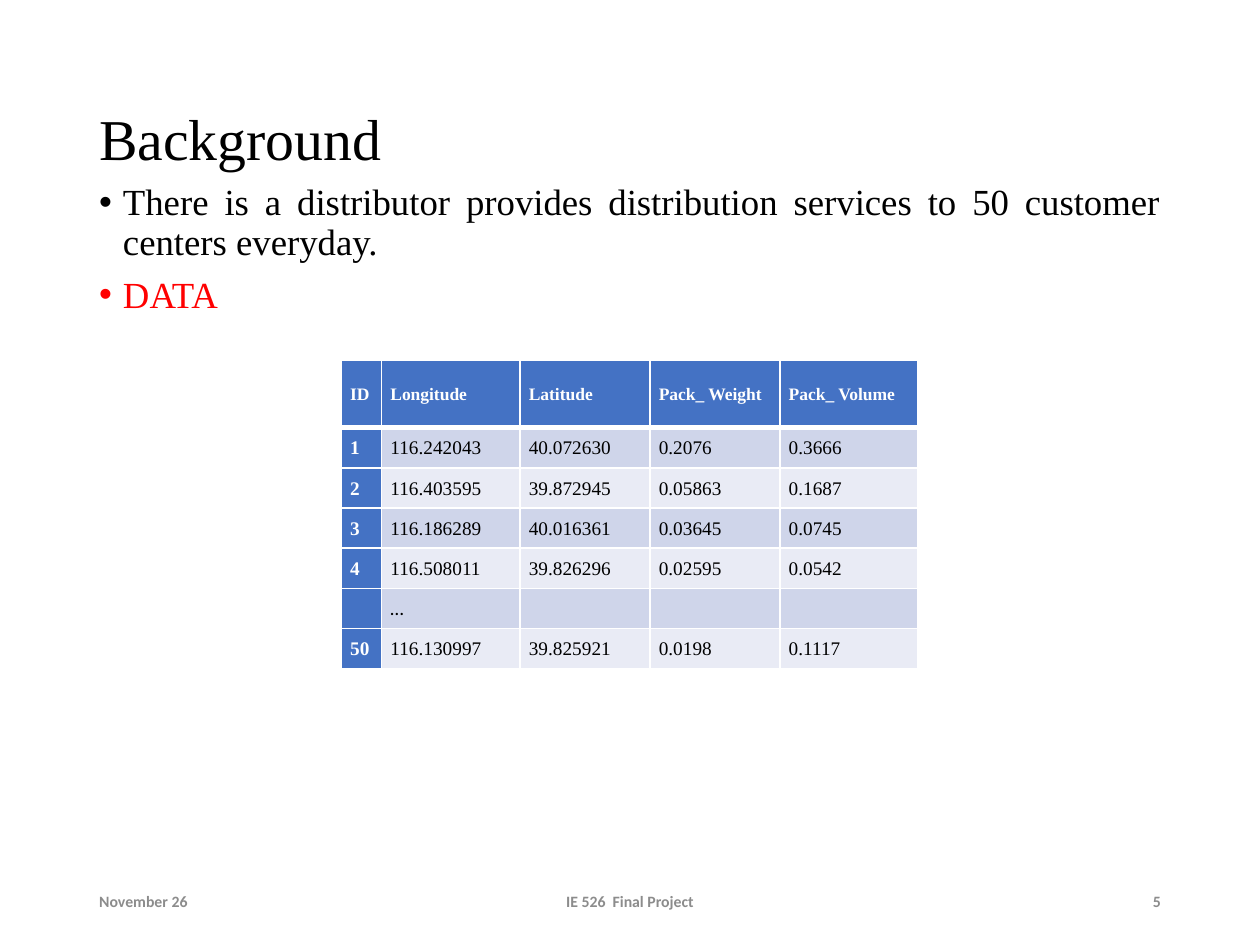
from dataclasses import dataclass, field

from lxml.etree import SubElement
from pptx import Presentation
from pptx.dml.color import RGBColor
from pptx.enum.text import MSO_ANCHOR, PP_ALIGN
from pptx.oxml.ns import qn
from pptx.util import Cm, Pt

SERIF, SANS = "Times New Roman", "Calibri"
BLACK, WHITE, RED, GREY = "000000", "FFFFFF", "FF0000", "8C8C8C"
BLUE, BANDS = "4472C4", ("CFD5EA", "E9EBF5")


@dataclass
class Line:
    """One paragraph and its look."""
    text: str
    size: float
    color: str = BLACK
    face: str = SERIF
    bold: bool = False
    bullet: bool = False
    form: dict = field(default_factory=dict)


@dataclass
class Box:
    """A text box, with lengths in centimetres."""
    left: float
    top: float
    width: float
    height: float
    lines: list[Line]
    anchor: MSO_ANCHOR = MSO_ANCHOR.MIDDLE


def paint(target, color: str) -> None:
    """Give a fill one solid hex colour."""
    target.solid()
    target.fore_color.rgb = RGBColor.from_string(color)


def write(para, line: Line) -> None:
    """Write a line into a paragraph."""
    for name, value in line.form.items():
        setattr(para, name, value)
    if line.bullet:
        props = para._p.get_or_add_pPr()
        props.set("marL", str(Cm(0.48)))
        props.set("indent", str(-Cm(0.48)))
        SubElement(props, qn("a:buFont"), typeface="Arial")
        SubElement(props, qn("a:buChar"), char="•")
    run = para.add_run()
    run.text = line.text
    look = {"size": Pt(line.size), "name": line.face, "bold": line.bold}
    for name, value in look.items():
        setattr(run.font, name, value)
    paint(run.font.fill, line.color)


def draw_box(slide, box: Box) -> None:
    """Add a text box with all its lines."""
    shape = slide.shapes.add_textbox(
        *map(Cm, (box.left, box.top, box.width, box.height)))
    frame = shape.text_frame
    frame.word_wrap = True
    frame.vertical_anchor = box.anchor
    for i, line in enumerate(box.lines):
        write(frame.add_paragraph() if i else frame.paragraphs[0], line)


def edge(cell, sides: dict[str, float]) -> None:
    """Draw white cell borders, with widths in points."""
    props = cell._tc.get_or_add_tcPr()
    for i, (side, width) in enumerate(sides.items()):
        line = props.makeelement(qn(f"a:ln{side}"), {"w": str(Pt(width))})
        fill = SubElement(line, qn("a:solidFill"))
        SubElement(fill, qn("a:srgbClr"), val=WHITE)
        props.insert(i, line)


def draw_table(slide, rows: list[str], widths: list[float],
               heights: list[float]) -> None:
    """Add the data table, with a blue head row and first column."""
    table = slide.shapes.add_table(
        len(heights), len(widths), Cm(6.88), Cm(7.27),
        Cm(sum(widths)), Cm(sum(heights))).table
    for col, width in zip(table.columns, widths):
        col.width = Cm(width)
    for r, (row, height) in enumerate(zip(rows, heights)):
        table.rows[r].height = Cm(height)
        for c, text in enumerate(row.split("|")):
            cell = table.cell(r, c)
            head = r == 0 or c == 0
            margins = {"margin_left": Cm(0.18), "margin_right": Cm(0.18),
                       "margin_top": 0, "margin_bottom": 0,
                       "vertical_anchor": MSO_ANCHOR.MIDDLE}
            for name, value in margins.items():
                setattr(cell, name, value)
            paint(cell.fill, BLUE if head else BANDS[(r - 1) % 2])
            edge(cell, {"L": 1, "R": 1, "T": 3 if r == 1 else 1,
                        "B": 3 if r == 0 else 1})
            if text:
                write(cell.text_frame.paragraphs[0], Line(
                    text, 11 if r else 10, WHITE if head else BLACK,
                    SANS if text == "…" else SERIF, head,
                    form={"alignment": PP_ALIGN.JUSTIFY,
                          "line_spacing": 1.07}))


BODY = {"alignment": PP_ALIGN.JUSTIFY, "line_spacing": 0.9,
        "space_before": Pt(7.5)}
BOXES = [
    Box(1.75, 1.02, 21.9, 3.68,
        [Line("Background", 33, form={"line_spacing": 0.9})]),
    Box(1.75, 3.58, 21.9, 14, [
        Line("There is a distributor provides distribution services to "
             "50 customer centers everyday.", 21, bullet=True, form=BODY),
        Line("DATA", 21, RED, bullet=True, form=BODY),
    ], MSO_ANCHOR.TOP),
]
FOOT = [
    (1.75, 5.72, "November 26", PP_ALIGN.LEFT),
    (8.41, 8.58, "IE 526  Final Project", PP_ALIGN.CENTER),
    (17.93, 5.72, "5", PP_ALIGN.RIGHT),
]
ROWS = [
    "ID|Longitude|Latitude|Pack_ Weight|Pack_ Volume",
    "1|116.242043|40.072630|0.2076|0.3666",
    "2|116.403595|39.872945|0.05863|0.1687",
    "3|116.186289|40.016361|0.03645|0.0745",
    "4|116.508011|39.826296|0.02595|0.0542",
    "|…|||",
    "50|116.130997|39.825921|0.0198|0.1117",
]

deck = Presentation()
deck.slide_width, deck.slide_height = Cm(25.4), Cm(19.05)
slide = deck.slides.add_slide(deck.slide_layouts[6])
for box in BOXES:
    draw_box(slide, box)
for left, width, text, align in FOOT:
    draw_box(slide, Box(left, 17.65, width, 1.02, [
        Line(text, 9, GREY, SANS, True, form={"alignment": align})]))
draw_table(slide, ROWS, [0.81, 2.79, 2.62, 2.62, 2.79],
           [1.35] + [0.81] * 6)
deck.save("out.pptx")
